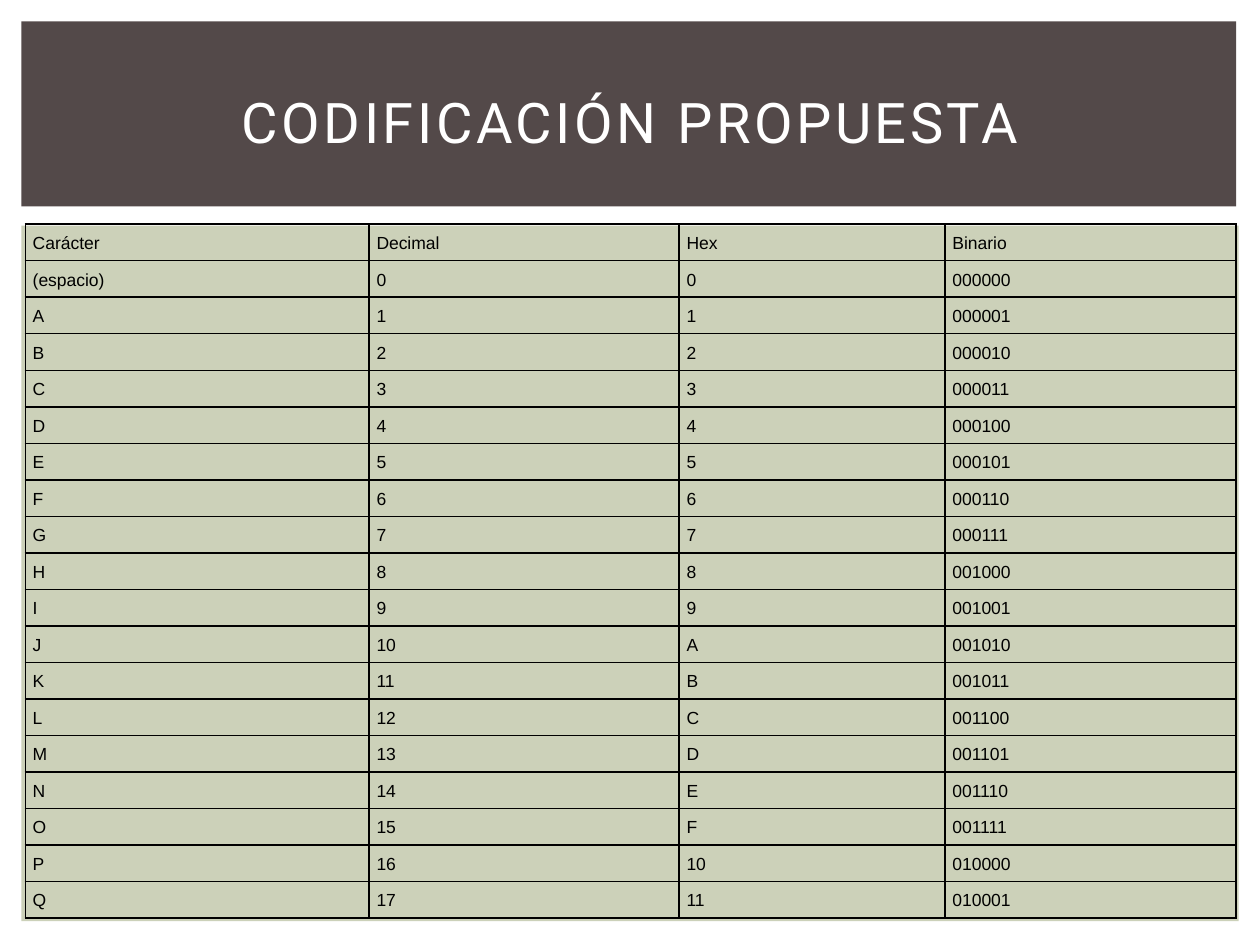
from lxml import etree
from pptx import Presentation
from pptx.dml.color import RGBColor
from pptx.enum import shapes, text
from pptx.oxml import ns
from pptx.util import Cm, Pt

COLORS = {"panel": "CCD1B9", "band": "534949", "title": "FFFFFF", "ink": "000000"}


def format_text(paragraph, font_format, **paragraph_format):
    for name, value in paragraph_format.items():
        setattr(paragraph, name, value)
    font = paragraph.runs[0].font
    for name, value in font_format.items():
        if name == "color":
            font.color.rgb = RGBColor.from_string(COLORS[value])
        else:
            setattr(font, name, value)


def add_borders(cell, color, width):
    properties = cell._tc.get_or_add_tcPr()
    for index, side in enumerate(("lnL", "lnR", "lnT", "lnB")):
        line = etree.Element(ns.qn(f"a:{side}"), w=str(width))
        fill = etree.SubElement(line, ns.qn("a:solidFill"))
        etree.SubElement(fill, ns.qn("a:srgbClr"), val=color)
        properties.insert(index, line)


presentation = Presentation()
presentation.slide_width, presentation.slide_height = Cm(25.4), Cm(19.05)
slide = presentation.slides.add_slide(presentation.slide_layouts[5])

# Background panel and title band
for color, box in (
    ("panel", (0.43, 4.55, 24.54, 14.02)),
    ("band", (0.43, 0.43, 24.49, 3.73)),
):
    shape = slide.shapes.add_shape(shapes.MSO_SHAPE.RECTANGLE, *map(Cm, box))
    shape.shadow.inherit = False
    shape.fill.solid()
    shape.fill.fore_color.rgb = RGBColor.from_string(COLORS[color])
    shape.line.fill.background()

# Title, brought in front of the band
title = slide.shapes.title
title.left, title.top, title.width, title.height = map(Cm, (1.07, 0.99, 23.29, 2.92))
title.text_frame.text = "CODIFICACIÓN PROPUESTA"
title.text_frame.auto_size = text.MSO_AUTO_SIZE.NONE
title.text_frame.vertical_anchor = text.MSO_ANCHOR.MIDDLE
paragraph = title.text_frame.paragraphs[0]
format_text(paragraph, {"name": "Roboto", "size": Pt(32), "color": "title"},
            alignment=text.PP_ALIGN.CENTER)
paragraph.runs[0].font._element.set("spc", "200")
slide.shapes._spTree.append(title._element)

# Code table: each character with its number in three bases
characters = ["(espacio)", *"ABCDEFGHIJKLMNOPQ"]
rows = [("Carácter", "Decimal", "Hex", "Binario")]
rows += [(character, f"{code}", f"{code:X}", f"{code:06b}")
         for code, character in enumerate(characters)]
column_widths = (6.93, 6.25, 5.36, 5.87)

table = slide.shapes.add_table(
    len(rows), len(column_widths),
    Cm(0.51), Cm(4.52), Cm(sum(column_widths)), Cm(14)).table
table.first_row = table.horz_banding = False
for column, width in zip(table.columns, column_widths):
    column.width = Cm(width)

cell_format = {
    "margin_left": Cm(0.15), "margin_right": Cm(0.15),
    "margin_top": 0, "margin_bottom": 0,
    "vertical_anchor": text.MSO_ANCHOR.TOP,
}
cell_font = {"name": "Arial", "size": Pt(10), "color": "ink"}
for row, values in zip(table.rows, rows):
    for cell, value in zip(row.cells, values):
        cell.text = value
        for name, setting in cell_format.items():
            setattr(cell, name, setting)
        cell.fill.background()
        add_borders(cell, COLORS["ink"], Pt(1))
        format_text(cell.text_frame.paragraphs[0], cell_font,
                    alignment=text.PP_ALIGN.JUSTIFY, line_spacing=1.5)

presentation.save("out.pptx")
